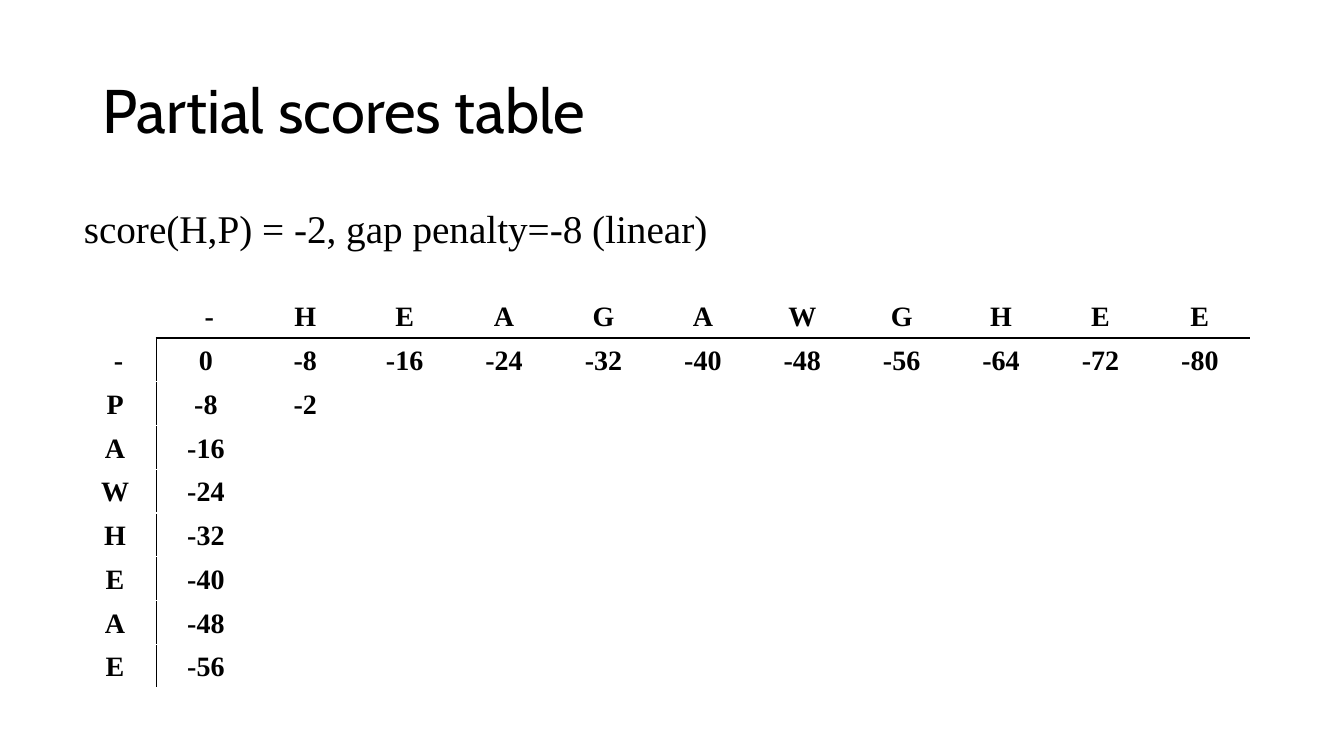
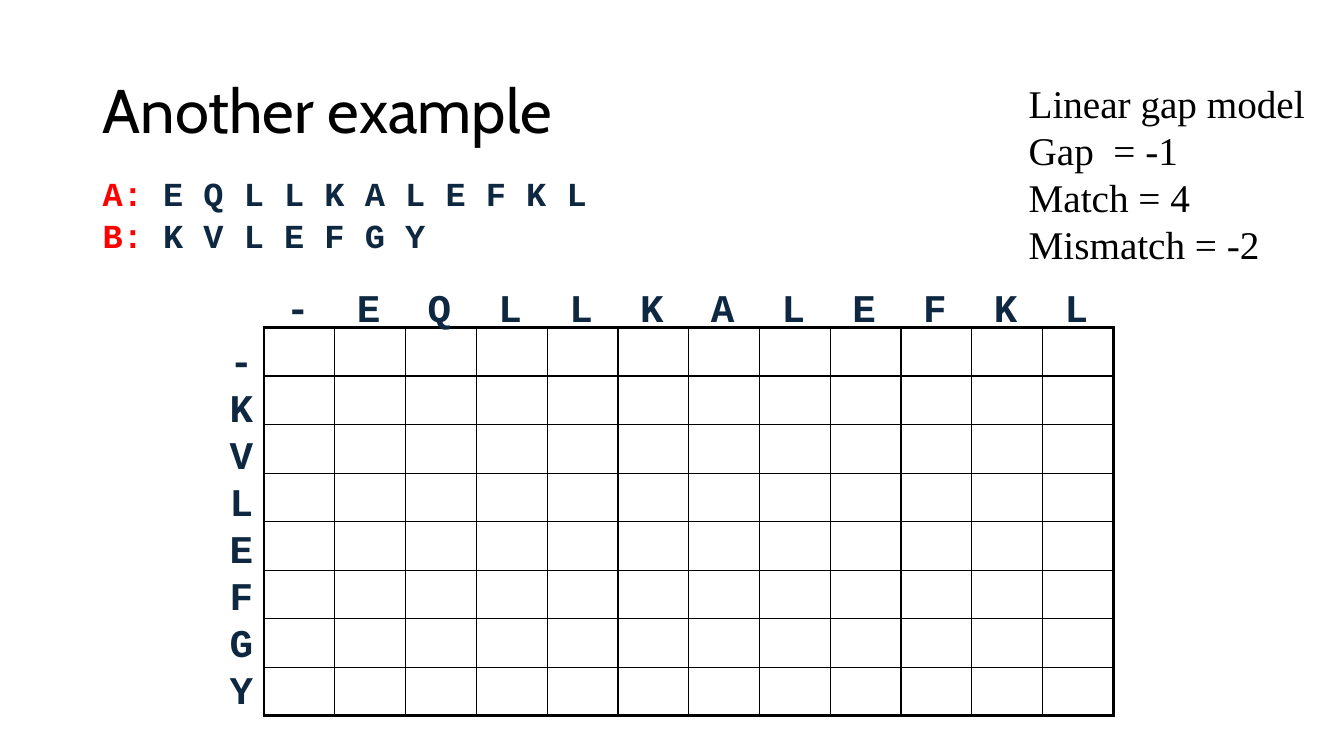
from dataclasses import dataclass

from lxml import etree
from pptx import Presentation, util as u
from pptx.dml.color import RGBColor
from pptx.enum import text
from pptx.oxml.ns import qn

WIDTH, HEIGHT = u.Inches(13.33), u.Inches(7.5)
BLACK, NAVY, RED = "000000", "0E2841", "FF0000"
THIN, THICK = 1, 2.25


@dataclass(frozen=True)
class Frame:
    """A rectangle in percent of the slide's width and height."""
    left: float
    top: float
    width: float
    height: float

    def emu(self) -> tuple[int, int, int, int]:
        return (int(WIDTH * self.left / 100), int(HEIGHT * self.top / 100),
                int(WIDTH * self.width / 100), int(HEIGHT * self.height / 100))


@dataclass(frozen=True)
class Style:
    font: str
    size: float
    color: str = BLACK
    bold: bool = False
    leading: float | u.Length | None = None
    top_inset: float = 0.05


@dataclass(frozen=True)
class Span:
    words: str
    color: str


TITLE = Style("Cabin", 44, leading=0.9)
BODY = Style("Times New Roman", 28, leading=u.Pt(33.6))
SCORE = Style("Times New Roman", 20, bold=True)
LETTER = Style("Courier New", 28, NAVY, True, u.Pt(33.6), 0.09)
SEQUENCE = Style("Courier New", 24, NAVY, True, u.Pt(30), 0.13)

TITLE_FRAME = Frame(6.9, 5.33, 86.26, 19.33)
SCORE_FRAME = Frame(5.5, 38.93, 87.5, 52)
GRID_FRAME = Frame(19.65, 43.33, 63.2, 51.4)
LABEL_SHARE = 0.07
GAP_SCORE = -8


def rgb(color: str) -> RGBColor:
    return RGBColor.from_string(color)


def format_run(run, style: Style, color: str) -> None:
    run.font.name = style.font
    run.font.size = u.Pt(style.size)
    run.font.bold = style.bold
    run.font.color.rgb = rgb(color)


def add_tabs(para, step: int, count: int) -> None:
    tabs = etree.SubElement(para._p.get_or_add_pPr(), qn("a:tabLst"))
    for column in range(1, count + 1):
        etree.SubElement(tabs, qn("a:tab"), pos=str(step * column), algn="l")


def add_text(page, frame: Frame, lines: list[list[Span]], style: Style,
             anchor=text.MSO_ANCHOR.TOP):
    box = page.shapes.add_textbox(*frame.emu())
    body = box.text_frame
    body.word_wrap = True
    body.vertical_anchor = anchor
    body.margin_top = u.Inches(style.top_inset)
    for index, spans in enumerate(lines):
        para = body.add_paragraph() if index else body.paragraphs[0]
        para.line_spacing = style.leading
        for span in spans:
            run = para.add_run()
            run.text = span.words
            format_run(run, style, span.color)
    return box


def plain(lines: list[str], style: Style) -> list[list[Span]]:
    """Turn each line into a paragraph in the style's own colour."""
    return [[Span(line, style.color)] for line in lines]


def add_page(deck, title: str):
    page = deck.slides.add_slide(deck.slide_layouts[6])
    add_text(page, TITLE_FRAME, plain([title], TITLE), TITLE, text.MSO_ANCHOR.MIDDLE)
    return page


def add_table(page, frame: Frame, rows: int, columns: int):
    table = page.shapes.add_table(rows, columns, *frame.emu()).table
    table.first_row = table.horz_banding = False
    for row in table.rows:
        row.height = int(HEIGHT * frame.height / 100 / rows)
    return table


def finish_cell(cell, borders: dict[str, float]) -> None:
    """Draw the borders, keyed by side (L, R, T, B), and clear the fill."""
    properties = cell._tc.get_or_add_tcPr()
    for side in "LRTB":
        if side in borders:
            line = etree.SubElement(properties, qn(f"a:ln{side}"), w=str(u.Pt(borders[side])))
            fill = etree.SubElement(line, qn("a:solidFill"))
            etree.SubElement(fill, qn("a:srgbClr"), val=BLACK)
    cell.fill.background()


def write_score(cell, words: str) -> None:
    cell.vertical_anchor = text.MSO_ANCHOR.BOTTOM
    para = cell.text_frame.paragraphs[0]
    para.text = words
    para.alignment = text.PP_ALIGN.CENTER
    format_run(para.runs[0], SCORE, SCORE.color)


def score_text(row: int, column: int, across: list[str], down: list[str]) -> str:
    if row == 0 or column == 0:
        if row == column:
            return ""
        return across[column - 1] if row == 0 else down[row - 1]
    if row == 1 or column == 1:
        return str(GAP_SCORE * (row + column - 2))
    return "-2" if row == column == 2 else ""


def add_score_table(page) -> None:
    across, down = [" -", *"HEAGAWGHEE"], [" -", *"PAWHEAE"]
    table = add_table(page, SCORE_FRAME, len(down) + 1, len(across) + 1)
    total = SCORE_FRAME.emu()[2]
    for index, column in enumerate(table.columns):
        share = (1 - LABEL_SHARE) / len(across) if index else LABEL_SHARE
        column.width = int(total * share)
    for row in range(len(down) + 1):
        for column in range(len(across) + 1):
            cell = table.cell(row, column)
            words = score_text(row, column, across, down)
            if words:
                write_score(cell, words)
            borders = {}
            if column and row < 2:
                borders["T" if row else "B"] = THIN
            if row and column < 2:
                borders["L" if column else "R"] = THIN
            finish_cell(cell, borders)


def add_empty_grid(page, rows: int, columns: int) -> None:
    table = add_table(page, GRID_FRAME, rows, columns)
    for row in range(rows):
        for column in range(columns):
            outer = {"L": column == 0, "R": column == columns - 1,
                     "T": row == 0, "B": row == rows - 1}
            finish_cell(table.cell(row, column),
                        {side: THICK if edge else THIN for side, edge in outer.items()})


def build_scores_page(deck) -> None:
    page = add_page(deck, "Partial scores table")
    add_score_table(page)
    add_text(page, Frame(5.5, 26.4, 48.5, 7.6),
             plain(["score(H,P) = -2, gap penalty=-8 (linear)"], BODY), BODY)


def build_example_page(deck) -> None:
    first, second = "EQLLKALEFKL", "KVLEFGY"
    across, down = "-" + first, "-" + second
    page = add_page(deck, "Another example")
    add_empty_grid(page, len(down), len(across))
    heading = add_text(page, Frame(20.55, 36.27, 61.4, 7.6),
                       plain(["\t".join(across)], LETTER), LETTER)
    add_tabs(heading.text_frame.paragraphs[0],
             GRID_FRAME.emu()[2] // len(across), len(first))
    add_text(page, Frame(16.35, 43.33, 3.3, 51.6), plain(list(down), LETTER), LETTER)
    add_text(page, Frame(75.8, 9.87, 22.3, 26.5),
             plain(["Linear gap model", "Gap  = -1", "Match = 4", "Mismatch = -2"], BODY), BODY)
    add_text(page, Frame(6.9, 20.93, 50.6, 13.07),
             [[Span(f"{name}: ", RED), Span(" ".join(letters), NAVY)]
              for name, letters in (("A", first), ("B", second))], SEQUENCE)


def main() -> None:
    deck = Presentation()
    deck.slide_width, deck.slide_height = WIDTH, HEIGHT
    build_scores_page(deck)
    build_example_page(deck)
    deck.save("out.pptx")


if __name__ == "__main__":
    main()
